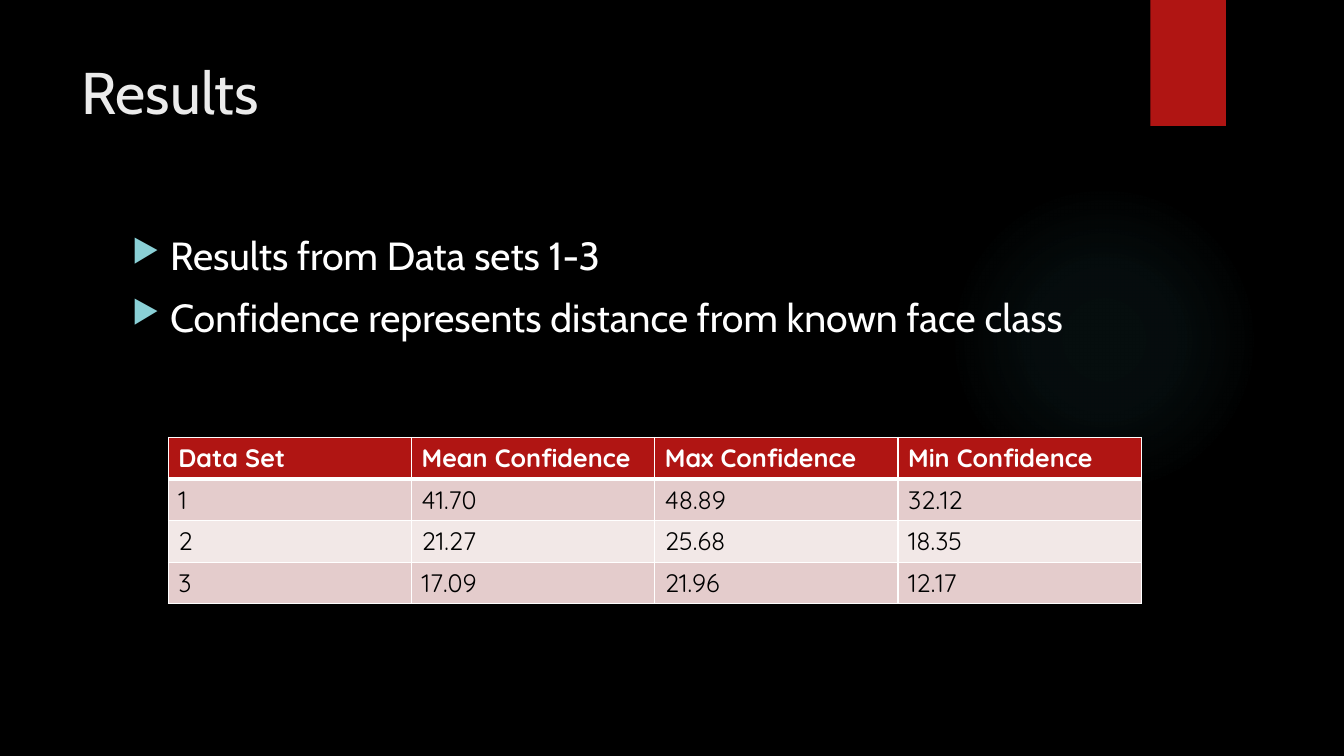
from lxml.etree import SubElement
from pptx import Presentation
from pptx.dml.color import RGBColor
from pptx.enum.shapes import MSO_SHAPE
from pptx.oxml import parse_xml
from pptx.oxml.ns import nsdecls, qn
from pptx.util import Inches, Pt

BLACK, WHITE, RED = "000000", "FFFFFF", "B01513"
GLOW, BULLET, TITLE = "50B9C1", "8AD0D6", "EBEBEB"
BAND_DARK, BAND_LIGHT = "E4CCCC", "F2E8E7"
HEADING_FONT, TABLE_FONT = "Cabin", "Quicksand"

BULLETS = [
    "Results from Data sets 1-3",
    "Confidence represents distance from known face class",
]
RESULTS = [
    ["Data Set", "Mean Confidence", "Max Confidence", "Min Confidence"],
    ["1", "41.70", "48.89", "32.12"],
    ["2", "21.27", "25.68", "18.35"],
    ["3", "17.09", "21.96", "12.17"],
]


def color(value):
    return RGBColor.from_string(value)


def set_fill(target, value):
    target.fill.solid()
    target.fill.fore_color.rgb = color(value)


def set_font(paragraph, name, size, value, bold=False):
    font = paragraph.font
    font.name, font.size, font.bold = name, Pt(size), bold
    font.color.rgb = color(value)


def add_plain_shape(slide, kind, left, top, width, height):
    shape = slide.shapes.add_shape(
        kind, Inches(left), Inches(top), Inches(width), Inches(height))
    shape.shadow.inherit = False
    shape.line.fill.background()
    return shape


def add_glow(slide, left, top, size):
    """Draw a circle that fades out from its centre."""
    glow = add_plain_shape(slide, MSO_SHAPE.OVAL, left, top, size, size)
    stops = "".join(
        f'<a:gs pos="{position * 1000}"><a:srgbClr val="{GLOW}">'
        f'<a:alpha val="{opacity * 1000}"/></a:srgbClr></a:gs>'
        for position, opacity in [(0, 7), (36, 6), (69, 0)])
    gradient = parse_xml(
        f'<a:gradFill {nsdecls("a")} rotWithShape="1"><a:gsLst>{stops}</a:gsLst>'
        '<a:path path="circle"><a:fillToRect l="50000" t="50000" r="50000" b="50000"/>'
        '</a:path></a:gradFill>')
    glow._element.spPr.find(qn("a:prstGeom")).addnext(gradient)


def add_ribbon(slide, left, top, width, height):
    ribbon = add_plain_shape(slide, MSO_SHAPE.RECTANGLE, left, top, width, height)
    set_fill(ribbon, RED)
    effects = ribbon._element.spPr.find(qn("a:effectLst"))
    effects.append(parse_xml(
        f'<a:outerShdw {nsdecls("a")} blurRad="{Pt(3)}" dist="{Pt(2)}" dir="5400000" '
        f'rotWithShape="0"><a:srgbClr val="{BLACK}"><a:alpha val="45000"/></a:srgbClr>'
        '</a:outerShdw>'))


def add_text_frame(slide, left, top, width, height):
    box = slide.shapes.add_textbox(
        Inches(left), Inches(top), Inches(width), Inches(height))
    box.text_frame.word_wrap = True
    return box.text_frame


def add_title(slide, text, left, top, width, height):
    paragraph = add_text_frame(slide, left, top, width, height).paragraphs[0]
    paragraph.text = text
    set_font(paragraph, HEADING_FONT, 42, TITLE)


def add_bullets(slide, lines, left, top, width, height):
    frame = add_text_frame(slide, left, top, width, height)
    frame.text = "\n".join(lines)
    for paragraph in frame.paragraphs:
        set_font(paragraph, HEADING_FONT, 28, WHITE)
        paragraph.space_before = Pt(10)
        properties = paragraph._p.get_or_add_pPr()
        properties.set("marL", str(Inches(0.38)))
        properties.set("indent", str(-Inches(0.38)))
        bullet = [
            f'<a:buClr {nsdecls("a")}><a:srgbClr val="{BULLET}"/></a:buClr>',
            f'<a:buSzPct {nsdecls("a")} val="80000"/>',
            f'<a:buChar {nsdecls("a")} char="▶"/>',
        ]
        spacing = properties.find(qn("a:spcBef"))
        for part in reversed(bullet):
            spacing.addnext(parse_xml(part))


def set_borders(cell, bottom_width):
    """Add white borders, which must come before the cell's fill."""
    properties = cell._tc.get_or_add_tcPr()
    for side, width in [("L", 1), ("R", 1), ("T", 1), ("B", bottom_width)]:
        line = SubElement(properties, qn(f"a:ln{side}"), w=str(Pt(width)))
        fill = SubElement(line, qn("a:solidFill"))
        SubElement(fill, qn("a:srgbClr"), val=WHITE)


def add_results_table(slide, rows, left, top, width, height):
    table = slide.shapes.add_table(
        len(rows), len(rows[0]), Inches(left), Inches(top),
        Inches(width), Inches(height)).table
    for row_index, row in enumerate(rows):
        header = row_index == 0
        band = BAND_DARK if row_index % 2 else BAND_LIGHT
        for column_index, text in enumerate(row):
            cell = table.cell(row_index, column_index)
            cell.text = text
            # The rule under the header is shared with the first data row.
            set_borders(cell, 3 if header else 1)
            if row_index == 1:
                cell._tc.tcPr.find(qn("a:lnT")).set("w", str(Pt(3)))
            set_fill(cell, RED if header else band)
            set_font(cell.text_frame.paragraphs[0], TABLE_FONT, 18,
                     WHITE if header else BLACK, header)


def build_results_slide(presentation):
    slide = presentation.slides.add_slide(presentation.slide_layouts[6])
    set_fill(slide.background, BLACK)
    add_glow(slide, 9.41, 1.83, 3.08)
    add_ribbon(slide, 11.41, 0, 0.75, 1.25)
    add_title(slide, "Results", 0.71, 0.5, 10.29, 1.53)
    add_bullets(slide, BULLETS, 1.21, 2.25, 9.78, 4.59)
    add_results_table(slide, RESULTS, 1.67, 4.34, 9.65, 1.65)


def main():
    presentation = Presentation()
    presentation.slide_width = Inches(13.33)
    presentation.slide_height = Inches(7.5)
    build_results_slide(presentation)
    presentation.save("out.pptx")


if __name__ == "__main__":
    main()
